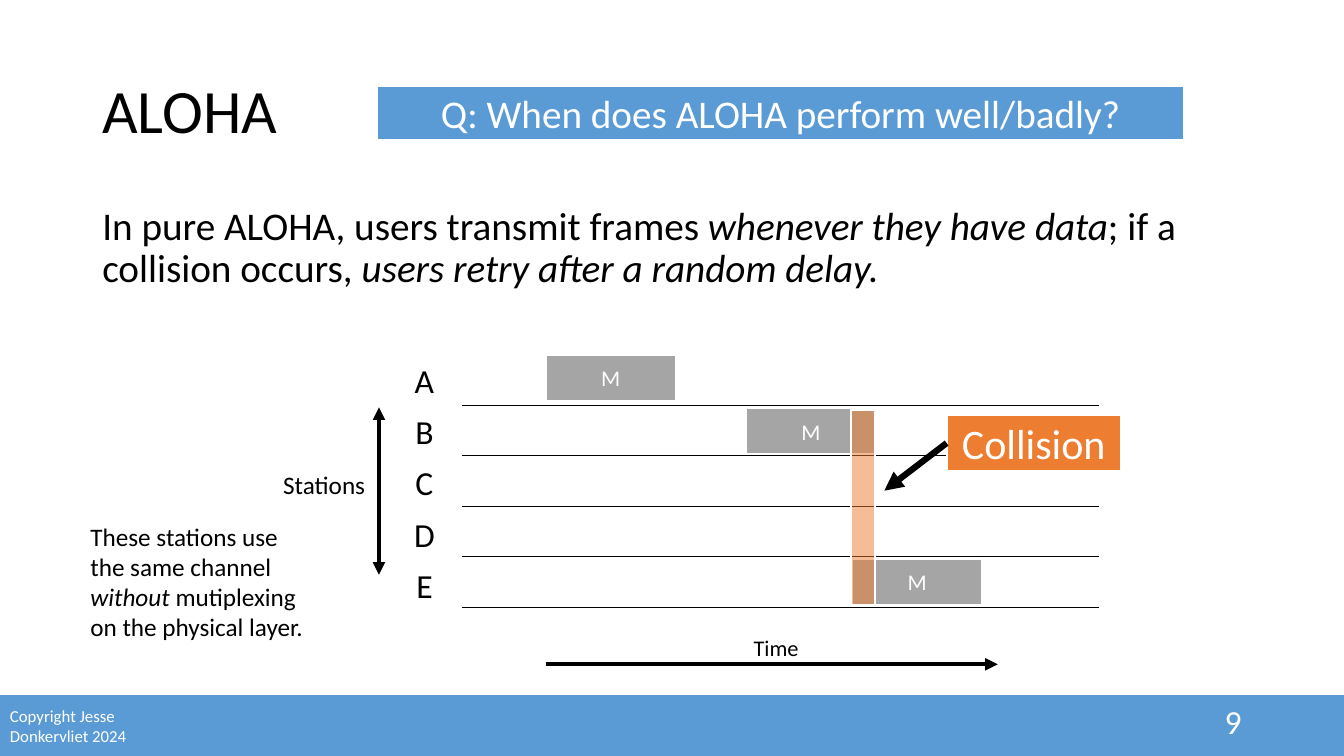
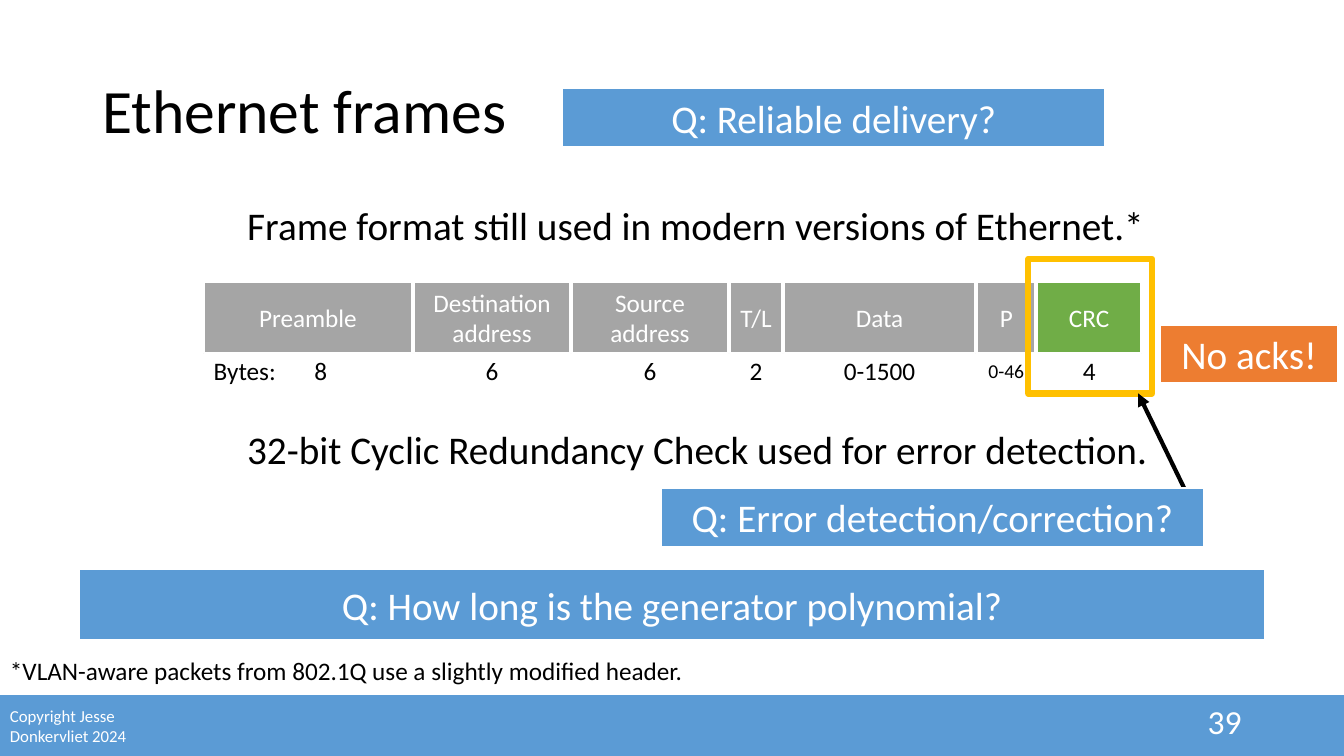
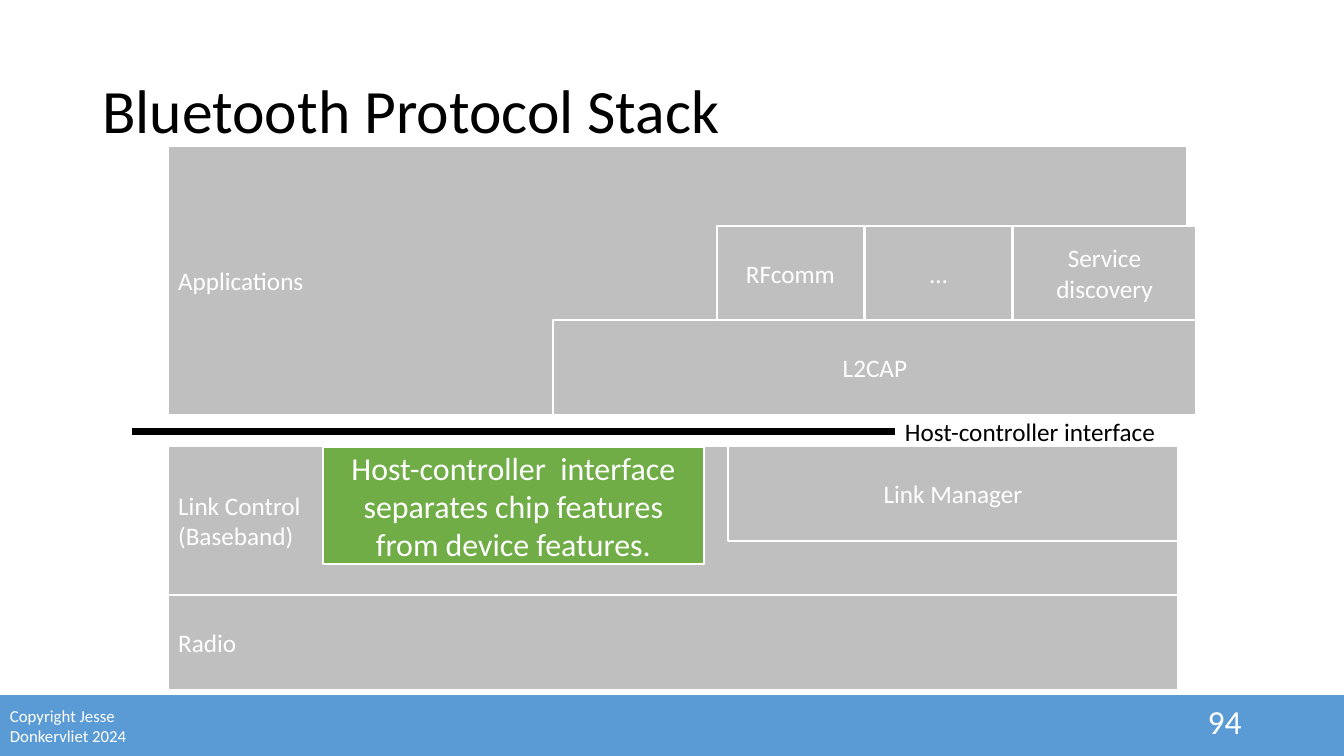
from itertools import accumulate

from lxml import etree
from pptx import Presentation
from pptx.dml.color import RGBColor
from pptx.enum.shapes import MSO_CONNECTOR, MSO_SHAPE
from pptx.enum.text import MSO_ANCHOR, PP_ALIGN
from pptx.oxml.ns import qn
from pptx.util import Pt

RECTANGLE = MSO_SHAPE.RECTANGLE
STRAIGHT = MSO_CONNECTOR.STRAIGHT
TOP, MIDDLE = MSO_ANCHOR.TOP, MSO_ANCHOR.MIDDLE
LEFT, CENTER, RIGHT = PP_ALIGN.LEFT, PP_ALIGN.CENTER, PP_ALIGN.RIGHT

WHITE = RGBColor(0xFF, 0xFF, 0xFF)
BLACK = RGBColor(0x00, 0x00, 0x00)
BLUE = RGBColor(0x5B, 0x9B, 0xD5)
ORANGE = RGBColor(0xED, 0x7D, 0x31)
GREEN = RGBColor(0x70, 0xAD, 0x47)
GREY = RGBColor(0xA5, 0xA5, 0xA5)
LIGHT_GREY = RGBColor(0xBF, 0xBF, 0xBF)
GOLD = RGBColor(0xFF, 0xC0, 0x00)

FONT = "Calibri"
WIDTH, HEIGHT = 960, 540
LEFT_SIDE = 1


def write(shape, text, size=18, color=BLACK, align=LEFT, anchor=TOP,
          spacing=1.0, gap=0, margin=7.2):
    """Fill a shape with paragraphs; underscores enclose italic words."""
    frame = shape.text_frame
    frame.word_wrap = True
    frame.vertical_anchor = anchor
    frame.margin_left = frame.margin_right = Pt(margin)
    for index, line in enumerate(text.split("\n")):
        paragraph = frame.add_paragraph() if index else frame.paragraphs[0]
        paragraph.alignment = align
        paragraph.line_spacing = spacing
        if index:
            paragraph.space_before = Pt(gap)
        for part, words in enumerate(line.split("_")):
            if words:
                run = paragraph.add_run()
                run.text = words
                run.font.name = FONT
                run.font.size = Pt(size)
                run.font.color.rgb = color
                run.font.italic = part % 2 == 1


def label(slide, box, text, **style):
    """Add a plain text box and return it."""
    shape = slide.shapes.add_textbox(*map(Pt, box))
    write(shape, text, **style)
    return shape


def block(slide, box, text="", fill=None, line=WHITE, weight=1.5, **style):
    """Add a rectangle, centred text by default, and return it."""
    shape = slide.shapes.add_shape(RECTANGLE, *map(Pt, box))
    shape.shadow.inherit = False
    if fill is None:
        shape.fill.background()
    else:
        shape.fill.solid()
        shape.fill.fore_color.rgb = fill
    if line is None:
        shape.line.fill.background()
    else:
        shape.line.color.rgb = line
        shape.line.width = Pt(weight)
    if text:
        write(shape, text, **{"color": WHITE, "align": CENTER, "anchor": MIDDLE, **style})
    return shape


def connect(slide, start, end, weight, heads=()):
    """Draw a black straight line with the named arrowheads."""
    line = slide.shapes.add_connector(STRAIGHT, *map(Pt, (*start, *end)))
    line.line.color.rgb = BLACK
    line.line.width = Pt(weight)
    for head in heads:
        etree.SubElement(line.line._get_or_add_ln(), qn(f"a:{head}"), type="triangle")
    etree.SubElement(line._element.spPr, qn("a:effectLst"))
    return line


def base_slide(deck, title, number):
    """Add a slide with its title, blue footer band and page number."""
    slide = deck.slides.add_slide(deck.slide_layouts[6])
    block(slide, (0, 496.5, WIDTH, HEIGHT - 496.5), fill=BLUE, line=None)
    label(slide, (0, 500.5, 106, 36), "Copyright Jesse Donkervliet 2024",
          size=12, color=WHITE, anchor=MIDDLE)
    label(slide, (66, 29, 828, 104), title, size=44, anchor=MIDDLE, spacing=0.9)
    label(slide, (678, 500.5, 216, 29), number, size=24, color=WHITE,
          align=RIGHT, anchor=MIDDLE)
    return slide


def body(slide, box, text, gap=0):
    """Place the main statements of a slide."""
    label(slide, box, text, size=28, spacing=0.9, gap=gap)


def question(slide, box, text):
    """Place a blue question banner."""
    block(slide, box, text, fill=BLUE, size=28)


def station_timeline(slide, left, top):
    """Draw five station rows, their messages and the collision between two."""
    row = 36
    for x, y in ((130.5, 0), (273.5, 38.2), (349.5, 145.5)):
        block(slide, (left + x, top + y, 93, 33), "M", fill=GREY, size=16)
    for index, station in enumerate("ABCDE"):
        baseline = top + row * (index + 1)
        connect(slide, (left + 70.5, baseline), (left + 525.5, baseline), 0.5)
        label(slide, (left, top + 36.6 * index, 88, 36), station, size=24, align=CENTER)

    connect(slide, (left + 130.5, top + 221), (left + 453.5, top + 221), 3, ["tailEnd"])
    label(slide, (left + 272, top + 196, 52, 27), "Time", size=16)
    connect(slide, (left + 11.5, top + 37.5), (left + 11.5, top + 157), 3,
            ["headEnd", "tailEnd"])
    label(slide, (left - 64, top + 78, 76, 29), "Stations")

    overlap = block(slide, (left + 348.5, top + 39, 17.5, 139.5), fill=ORANGE)
    overlap_color = overlap._element.spPr.find(qn("a:solidFill"))[0]
    etree.SubElement(overlap_color, qn("a:alpha"), val="50000")
    collision = block(slide, (left + 417, top + 43, 124.5, 40), "Collision",
                      fill=ORANGE, size=30)
    pointer = connect(slide, (left + 417, top + 63), (left + 372.5, top + 97), 4.5,
                      ["tailEnd"])
    pointer.begin_connect(collision, LEFT_SIDE)


def frame_format(slide, left, top):
    """Draw the fields of a frame with their byte counts below."""
    gap, height = 1.2, 51
    fields = (
        ("Preamble", "Bytes:\t8", 149),
        ("Destination\naddress", "6", 111.6),
        ("Source\naddress", "6", 111.6),
        ("T/L", "2", 37.4),
        ("Data", "0-1500", 136.8),
        ("P", "0-46", 41.8),
        ("CRC", "4", 74.2),
    )
    offsets = accumulate((width + gap for _, _, width in fields), initial=left)
    for (name, size_in_bytes, width), x in zip(fields, offsets):
        first, narrow = name == "Preamble", name == "P"
        block(slide, (x, top, width, height), name,
              fill=GREEN if name == "CRC" else GREY, margin=0)
        label(slide, (x, top + height, width, 24.5), size_in_bytes,
              size=14 if narrow else 18, anchor=MIDDLE,
              align=LEFT if first else CENTER, margin=7.2 if first else 0)


def host_layers(slide, left, top):
    """Draw the protocol layers above the host-controller interface."""
    layer = 67.7
    block(slide, (left, top, 728, 192.2), "Applications", fill=LIGHT_GREY, align=LEFT)
    block(slide, (left + 275, top + 124.5, 459.5, layer), "L2CAP", fill=LIGHT_GREY)
    for index, (service, width) in enumerate(
            (("RFcomm", 105.2), ("…", 105.2), ("Service\ndiscovery", 130.5))):
        block(slide, (left + 391.7 + 105.9 * index, top + 56.8, width, layer),
              service, fill=LIGHT_GREY)


def interface_line(slide, left, top):
    """Draw the boundary line with its label."""
    name = label(slide, (left + 545, top, 202, 29), "Host-controller interface")
    boundary = connect(slide, (left + 545, top + 14.5), (left, top + 14.5), 4.5)
    boundary.begin_connect(name, LEFT_SIDE)


def controller_layers(slide, left, top):
    """Draw the protocol layers below the host-controller interface."""
    width, layer, control = 721, 67.7, 106.5
    block(slide, (left, top + control, width, layer), "Radio",
          fill=LIGHT_GREY, align=LEFT)
    block(slide, (left, top, width, control), "Link Control\n(Baseband)",
          fill=LIGHT_GREY, align=LEFT)
    block(slide, (left + 400, top, width - 400, layer), "Link Manager",
          fill=LIGHT_GREY)
    block(slide, (left + 110.3, top + 1, 272.5, 83.5),
          "Host-controller  interface separates chip features from device features.",
          fill=GREEN, size=22.8)


def aloha_slide(deck):
    """Build the slide on pure ALOHA."""
    slide = base_slide(deck, "ALOHA", "9")
    body(slide, (66, 144, 828, 343),
         "In pure ALOHA, users transmit frames _whenever they have data_; "
         "if a collision occurs, _users retry after a random delay._")
    question(slide, (269.5, 61.5, 576, 38.5), "Q: When does ALOHA perform well/badly?")
    station_timeline(slide, 259.2, 253.5)
    label(slide, (57.5, 368.5, 175, 94.5),
          "These stations use the same channel _without _"
          "mutiplexing on the physical layer.")


def ethernet_slide(deck):
    """Build the slide on Ethernet frames."""
    slide = base_slide(deck, "Ethernet frames", "39")
    body(slide, (169.5, 144, 676, 343),
         "Frame format still used in modern versions of Ethernet.*\n"
         "32-bit Cyclic Redundancy Check used for error detection.", gap=130)
    frame_format(slide, 145.5, 201.5)
    question(slide, (56.5, 406.5, 847, 51), "Q: How long is the generator polynomial?")
    label(slide, (0, 464.5, 574.5, 29),
          "*VLAN-aware packets from 802.1Q use a slightly modified header.")
    question(slide, (401.5, 63, 388, 42), "Q: Reliable delivery?")
    block(slide, (734.5, 185, 88.5, 96), line=GOLD, weight=4.5)
    connect(slide, (846, 349), (813, 281), 3, ["tailEnd"])
    question(slide, (472, 348.5, 388, 42), "Q: Error detection/correction?")
    block(slide, (828.5, 232, 127.5, 42), "No acks!", fill=ORANGE, size=28)


def bluetooth_slide(deck):
    """Build the slide on the Bluetooth layers."""
    slide = base_slide(deck, "Bluetooth Protocol Stack", "94")
    host_layers(slide, 120.2, 104.4)
    controller_layers(slide, 120.2, 318.5)
    interface_line(slide, 94.3, 293.7)


def main():
    """Build and save the presentation."""
    deck = Presentation()
    deck.slide_width, deck.slide_height = Pt(WIDTH), Pt(HEIGHT)
    aloha_slide(deck)
    ethernet_slide(deck)
    bluetooth_slide(deck)
    deck.save("out.pptx")


if __name__ == "__main__":
    main()
